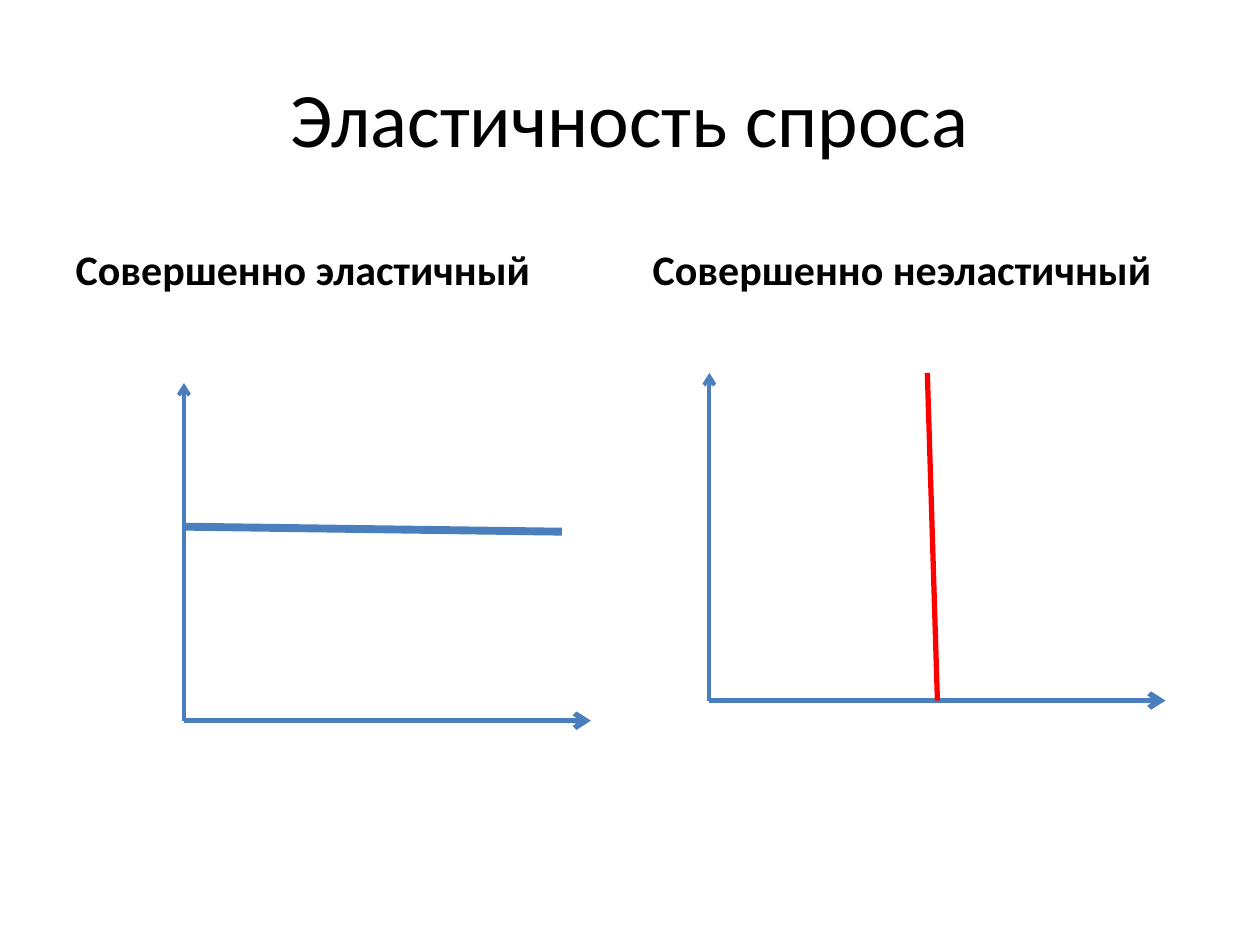
from lxml import etree
from pptx import Presentation
from pptx.dml.color import RGBColor
from pptx.enum.shapes import MSO_CONNECTOR
from pptx.enum.text import MSO_ANCHOR, PP_ALIGN
from pptx.oxml.ns import qn
from pptx.util import Inches, Pt

STRAIGHT = MSO_CONNECTOR.STRAIGHT
MIDDLE, BOTTOM = MSO_ANCHOR.MIDDLE, MSO_ANCHOR.BOTTOM
LEFT, CENTER = PP_ALIGN.LEFT, PP_ALIGN.CENTER
COMPARISON_LAYOUT = 4
COLUMNS, ROWS = 100, 75


def color(hex_string):
    return RGBColor.from_string(hex_string)


def write(frame, text, size, font="Calibri", ink="000000", bold=False,
          align=LEFT, anchor=MIDDLE):
    frame.word_wrap = True
    frame.vertical_anchor = anchor
    paragraph = frame.paragraphs[0]
    paragraph.alignment = align
    paragraph.space_before = Pt(0)
    run = paragraph.add_run()
    run.text = text
    run.font.name = font
    run.font.size = Pt(size)
    run.font.bold = bold
    run.font.color.rgb = color(ink)


class DemandSlide:
    blue = "4B7EBC"
    red = "FF0000"

    def __init__(self, deck):
        self.slide = deck.slides.add_slide(deck.slide_layouts[COMPARISON_LAYOUT])
        self.column = deck.slide_width / COLUMNS
        self.row = deck.slide_height / ROWS

    def point(self, column, row):
        return round(column * self.column), round(row * self.row)

    def place(self, index, left, top, width, height):
        holder = self.slide.placeholders[index]
        holder.left, holder.top = self.point(left, top)
        holder.width, holder.height = self.point(width, height)
        return holder.text_frame

    def title(self, text):
        write(self.place(0, 5, 3, 90, 12.5), text, 44, align=CENTER)

    def heading(self, index, left, text):
        write(self.place(index, left, 16.8, 44.2, 7), text, 24,
              bold=True, anchor=BOTTOM)

    def line(self, start, end, ink, width, arrow=False):
        connector = self.slide.shapes.add_connector(
            STRAIGHT, *self.point(*start), *self.point(*end))
        connector.line.color.rgb = color(ink)
        connector.line.width = Pt(width)
        if arrow:
            outline = connector.line._get_or_add_ln()
            etree.SubElement(outline, qn("a:tailEnd"), type="arrow")
        etree.SubElement(connector._element.spPr, qn("a:effectLst"))

    def axes(self, origin, price_top, quantity_end):
        left, base = origin
        self.line(origin, (left, price_top), self.blue, 2.25, arrow=True)
        self.line(origin, (quantity_end, base), self.blue, 3, arrow=True)

    def remove_empty_placeholders(self):
        for holder in list(self.slide.placeholders):
            if not holder.text_frame.text:
                holder.element.getparent().remove(holder.element)


def main():
    deck = Presentation()
    deck.slide_width, deck.slide_height = Inches(10), Inches(7.5)

    demand = DemandSlide(deck)
    demand.title("Эластичность спроса")
    demand.heading(1, 5, "Совершенно эластичный")
    demand.heading(3, 50.8, "Совершенно неэластичный")
    demand.remove_empty_placeholders()

    demand.axes((14.6, 57.2), price_top=30.4, quantity_end=46.9)
    demand.axes((56.3, 55.6), price_top=29.6, quantity_end=92.5)
    demand.line((14.6, 41.8), (44.6, 42.2), demand.blue, 4.5)
    demand.line((73.6, 29.6), (74.4, 55.6), demand.red, 3)

    deck.save("out.pptx")


if __name__ == "__main__":
    main()
